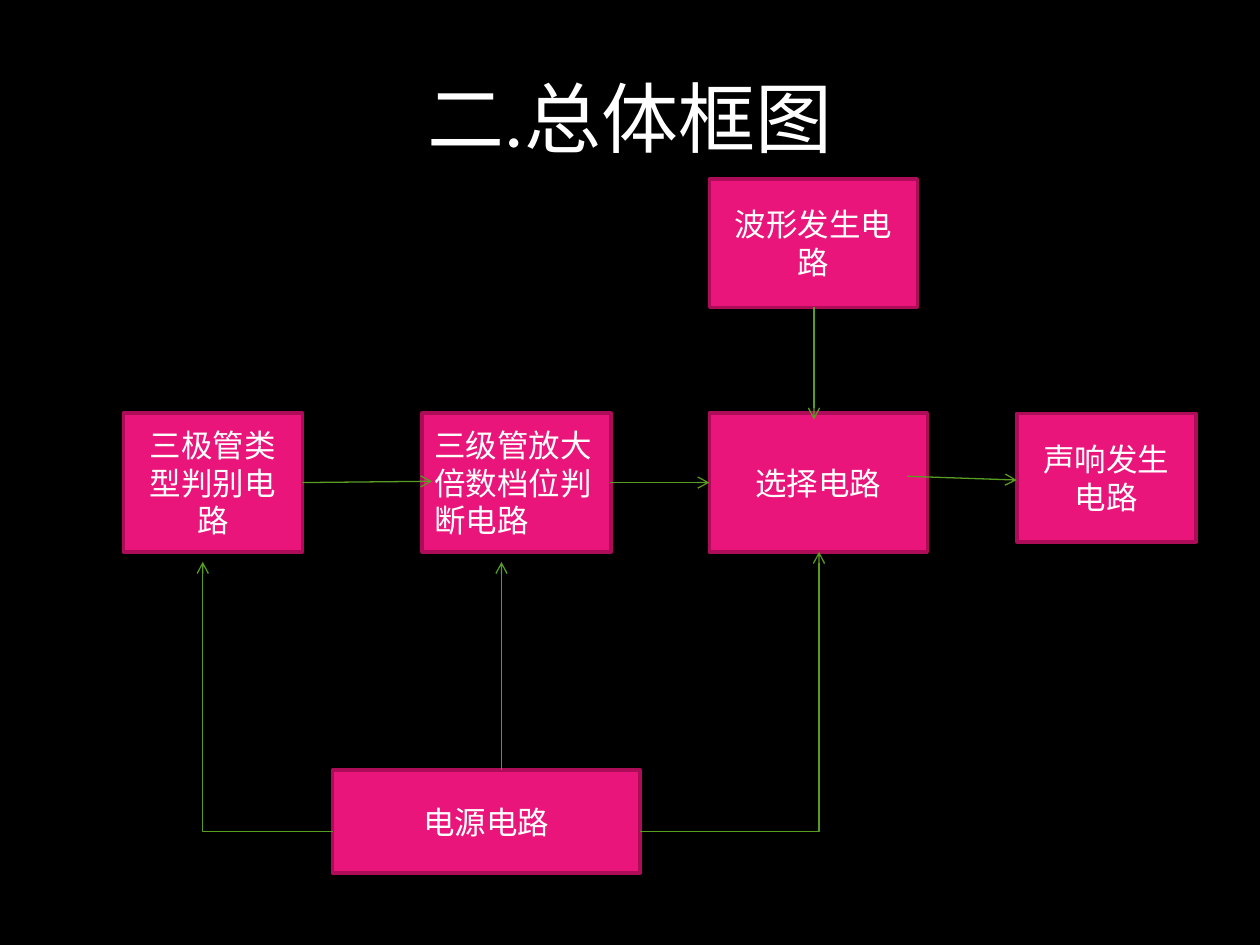
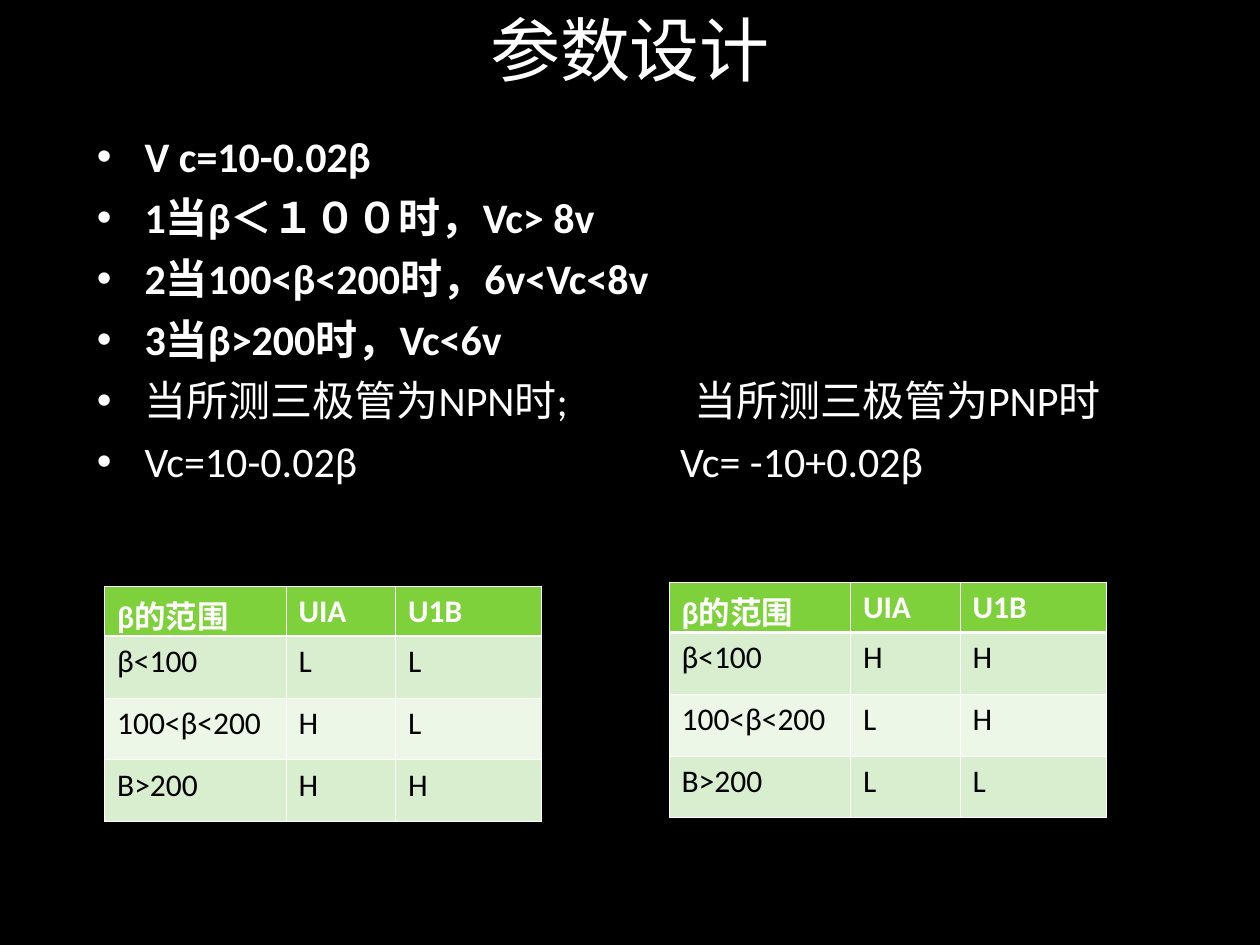
from dataclasses import dataclass

from lxml import etree
from pptx import Presentation
from pptx.dml.color import RGBColor
from pptx.enum.shapes import MSO_CONNECTOR, MSO_SHAPE
from pptx.enum.text import MSO_ANCHOR, PP_ALIGN
from pptx.oxml.ns import qn
from pptx.slide import Slide
from pptx.util import Inches, Pt

PROCESS = MSO_SHAPE.FLOWCHART_PROCESS
STRAIGHT, ELBOW = MSO_CONNECTOR.STRAIGHT, MSO_CONNECTOR.ELBOW
LEFT, CENTER = PP_ALIGN.LEFT, PP_ALIGN.CENTER
TOP, MIDDLE = MSO_ANCHOR.TOP, MSO_ANCHOR.MIDDLE

SLIDE_WIDTH, SLIDE_HEIGHT = Inches(10), Inches(7.5)
COLUMNS, ROWS = 100, 75
FONT = "Calibri"
COLORS = {
    "background": "000000",
    "light": "FFFFFF",
    "dark": "000000",
    "block": "EA157A",
    "block_edge": "AC0C58",
    "arrow": "599C22",
    "header": "7FD13B",
    "odd_row": "D8EECE",
    "even_row": "ECF7E8",
}


@dataclass(frozen=True)
class Block:
    text: str
    left: float
    top: float
    width: float
    height: float
    align: PP_ALIGN = CENTER


@dataclass(frozen=True)
class Arrow:
    start: tuple[float, float]
    end: tuple[float, float]
    kind: MSO_CONNECTOR = STRAIGHT


@dataclass(frozen=True)
class Bullet:
    text: str
    bold: bool = False
    tab_stop: float = 0


@dataclass(frozen=True)
class LevelTable:
    """Comparator output levels for each range of β."""
    left: float
    top: float
    levels: tuple[str, str, str]


BLOCKS = [
    Block("波形发生电路", 56.3, 14.2, 16.5, 10.2),
    Block("电源电路", 26.4, 61.1, 24.4, 8.2),
    Block("三极管类型判别电路", 9.8, 32.8, 14.2, 11),
    Block("三级管放大倍数档位判断电路", 33.5, 32.8, 15, 11, LEFT),
    Block("选择电路", 56.3, 32.8, 17.3, 11),
    Block("声响发生电路", 80.7, 32.8, 14.2, 10.2),
]
ARROWS = [
    Arrow((26.4, 66), (16.1, 44.6), ELBOW),
    Arrow((39.8, 61.1), (39.8, 44.6)),
    Arrow((50.8, 66), (65, 43.8), ELBOW),
    Arrow((64.6, 24.4), (64.6, 33.3)),
    Arrow((72, 37.8), (80.7, 38.1)),
    Arrow((24, 38.3), (34.3, 38.2)),
    Arrow((48.4, 38.3), (56.3, 38.3)),
]
BULLETS = [
    Bullet("V c=10-0.02β", bold=True),
    Bullet("1当β＜１００时，Vc> 8v", bold=True),
    Bullet("2当100<β<200时，6v<Vc<8v", bold=True),
    Bullet("3当β>200时，Vc<6v", bold=True),
    Bullet("当所测三极管为NPN时;\t当所测三极管为PNP时", tab_stop=47.4),
    Bullet("Vc=10-0.02β\tVc= -10+0.02β", tab_stop=46.3),
]
TABLE_HEADER = ("β的范围", "UIA", "U1B")
BETA_RANGES = ("β<100", "100<β<200", "Β>200")
TABLE_COLUMNS = (14.4, 8.7, 11.6)
HEADER_HEIGHT, ROW_HEIGHT = 4, 4.9
LEVEL_TABLES = [
    LevelTable(8.3, 46.5, ("LL", "HL", "HH")),
    LevelTable(53.1, 46.2, ("HH", "LH", "LL")),
]


def across(columns: float) -> int:
    return round(SLIDE_WIDTH * columns / COLUMNS)


def down(rows: float) -> int:
    return round(SLIDE_HEIGHT * rows / ROWS)


def color(name: str) -> RGBColor:
    return RGBColor.from_string(COLORS[name])


def add_child(parent, tag: str, **attributes: str):
    return etree.SubElement(parent, qn(tag), attributes)


def format_text(text_frame, size: float, align: PP_ALIGN = LEFT,
                ink: str = "light", bold: bool = False) -> None:
    for paragraph in text_frame.paragraphs:
        paragraph.alignment = align
        for run in paragraph.runs:
            run.font.name = FONT
            run.font.size = Pt(size)
            run.font.bold = bold
            run.font.color.rgb = color(ink)


def add_text_box(slide: Slide, left: float, top: float, width: float,
                 height: float, anchor: MSO_ANCHOR):
    box = slide.shapes.add_textbox(across(left), down(top), across(width), down(height))
    box.text_frame.word_wrap = True
    box.text_frame.vertical_anchor = anchor
    return box.text_frame


def add_title(slide: Slide, text: str, top: float, height: float, size: float) -> None:
    text_frame = add_text_box(slide, 5, top, 90, height, MIDDLE)
    text_frame.text = text
    format_text(text_frame, size, CENTER)


def add_block(slide: Slide, block: Block) -> None:
    shape = slide.shapes.add_shape(PROCESS, across(block.left), down(block.top),
                                   across(block.width), down(block.height))
    shape.shadow.inherit = False
    shape.fill.solid()
    shape.fill.fore_color.rgb = color("block")
    shape.line.color.rgb = color("block_edge")
    shape.line.width = Pt(2)
    shape.text_frame.word_wrap = True
    shape.text_frame.vertical_anchor = MIDDLE
    shape.text_frame.text = block.text
    format_text(shape.text_frame, 18, block.align)


def add_arrow(slide: Slide, arrow: Arrow) -> None:
    (start_x, start_y), (end_x, end_y) = arrow.start, arrow.end
    connector = slide.shapes.add_connector(
        arrow.kind, across(start_x), down(start_y), across(end_x), down(end_y))
    connector.line.color.rgb = color("arrow")
    connector.line.width = Pt(0.75)
    properties = connector._element.spPr
    if arrow.kind == ELBOW:
        properties.find(qn("a:prstGeom")).set("prst", "bentConnector2")
    add_child(properties.find(qn("a:ln")), "a:tailEnd", type="arrow")
    add_child(properties, "a:effectLst")


def add_bullets(slide: Slide, bullets: list[Bullet]) -> None:
    text_frame = add_text_box(slide, 6.7, 9.9, 88.3, 57, TOP)
    text_frame.text = "\n".join(bullet.text for bullet in bullets)
    format_text(text_frame, 24)
    indent = across(3.8)
    for index, (paragraph, bullet) in enumerate(zip(text_frame.paragraphs, bullets)):
        properties = paragraph._p.get_or_add_pPr()
        properties.set("marL", str(indent))
        properties.set("indent", str(-indent))
        add_child(properties, "a:buFont", typeface="Arial")
        add_child(properties, "a:buChar", char="•")
        if bullet.tab_stop:
            stops = add_child(properties, "a:tabLst")
            add_child(stops, "a:tab", pos=str(across(bullet.tab_stop)), algn="l")
        if index:
            paragraph.space_before = Pt(6)
        for run in paragraph.runs:
            run.font.bold = bullet.bold


def add_cell_borders(cell, below_header: bool, in_header: bool) -> None:
    properties = cell._tc.get_or_add_tcPr()
    heavy_sides = {"a:lnT": below_header, "a:lnB": in_header}
    for side in ("a:lnL", "a:lnR", "a:lnT", "a:lnB"):
        width = Pt(1.5) if heavy_sides.get(side) else Pt(0.5)
        line = add_child(properties, side, w=str(width))
        add_child(add_child(line, "a:solidFill"), "a:srgbClr", val=COLORS["light"])


def add_level_table(slide: Slide, level_table: LevelTable) -> None:
    rows = [TABLE_HEADER]
    rows += [(beta, *levels) for beta, levels in zip(BETA_RANGES, level_table.levels)]
    heights = [HEADER_HEIGHT] + [ROW_HEIGHT] * len(BETA_RANGES)
    table = slide.shapes.add_table(
        len(rows), len(TABLE_COLUMNS), across(level_table.left), down(level_table.top),
        across(sum(TABLE_COLUMNS)), down(sum(heights))).table
    for column, width in zip(table.columns, TABLE_COLUMNS):
        column.width = across(width)
    for row_index, (texts, height) in enumerate(zip(rows, heights)):
        table.rows[row_index].height = down(height)
        in_header = row_index == 0
        fill = "header" if in_header else "odd_row" if row_index % 2 else "even_row"
        for column_index, text in enumerate(texts):
            cell = table.cell(row_index, column_index)
            add_cell_borders(cell, row_index == 1, in_header)
            cell.fill.solid()
            cell.fill.fore_color.rgb = color(fill)
            cell.text_frame.text = text
            format_text(cell.text_frame, 18, ink="light" if in_header else "dark",
                        bold=in_header)


def build_block_diagram(slide: Slide) -> None:
    add_title(slide, "二.总体框图", 3, 12.5, 44)
    for block in BLOCKS:
        add_block(slide, block)
    for arrow in ARROWS:
        add_arrow(slide, arrow)


def build_parameter_design(slide: Slide) -> None:
    add_title(slide, "参数设计", 0, 7.7, 40)
    add_bullets(slide, BULLETS)
    for level_table in LEVEL_TABLES:
        add_level_table(slide, level_table)


def main() -> None:
    presentation = Presentation()
    presentation.slide_width, presentation.slide_height = SLIDE_WIDTH, SLIDE_HEIGHT
    background = presentation.slide_master.background.fill
    background.solid()
    background.fore_color.rgb = color("background")
    blank_layout = presentation.slide_layouts[6]
    for build in (build_block_diagram, build_parameter_design):
        build(presentation.slides.add_slide(blank_layout))
    presentation.save("out.pptx")


if __name__ == "__main__":
    main()
